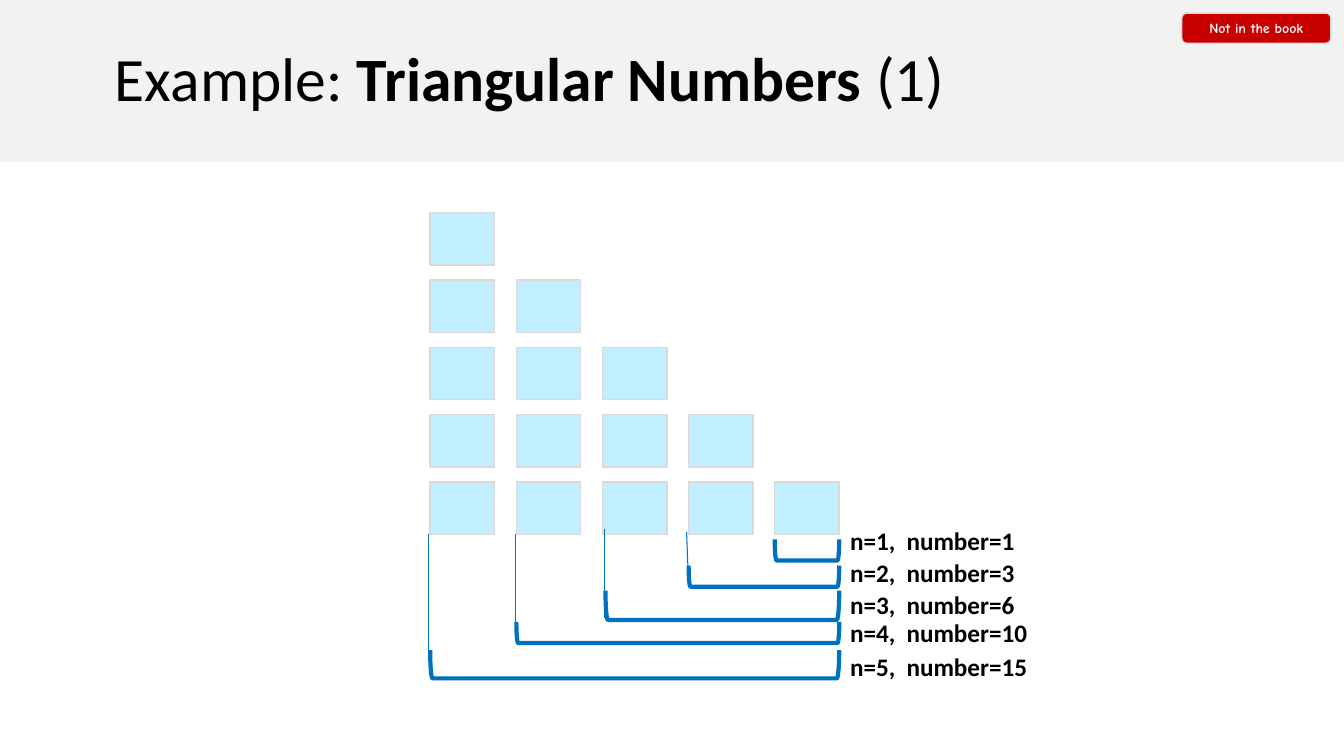
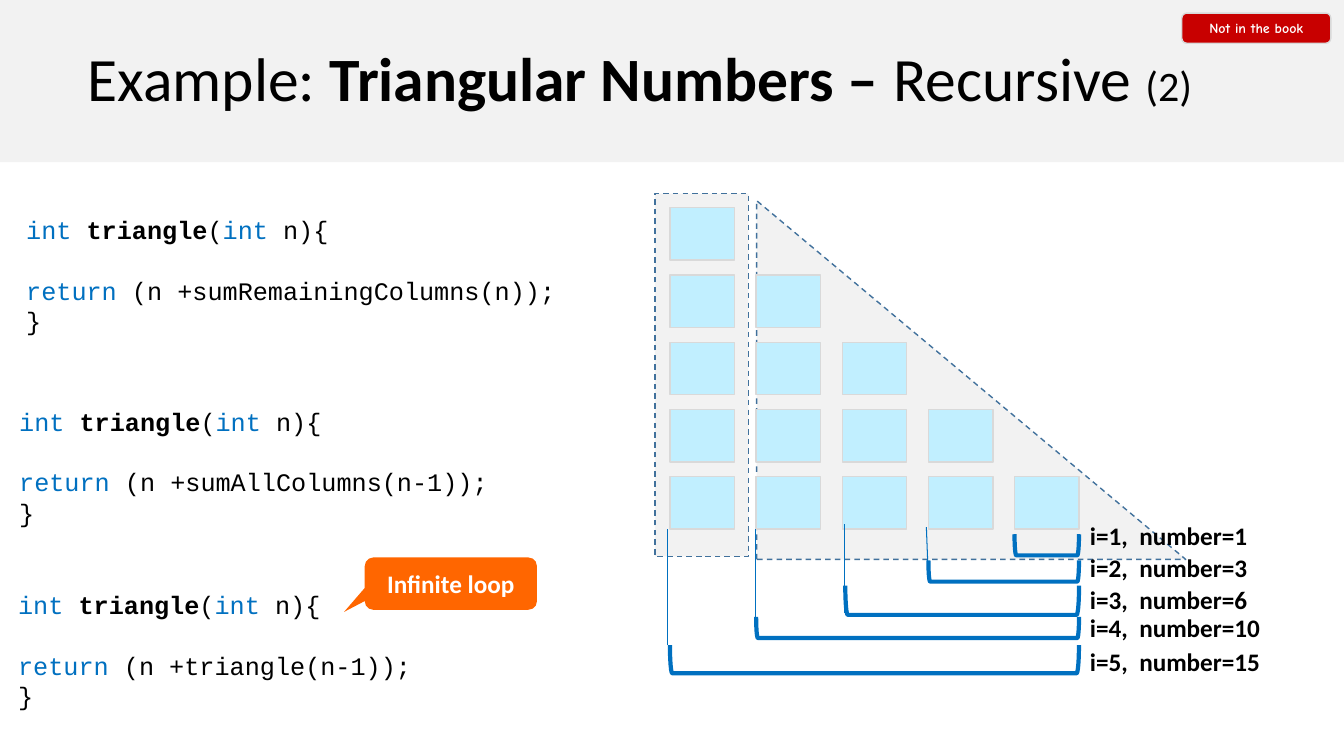
from dataclasses import dataclass
from lxml.etree import SubElement
from pptx import Presentation
from pptx.dml.color import RGBColor
from pptx.enum.dml import MSO_LINE_DASH_STYLE as Dash
from pptx.enum.shapes import MSO_CONNECTOR as Connector, MSO_SHAPE as Shape
from pptx.enum.text import MSO_ANCHOR as Anchor, MSO_AUTO_SIZE as AutoSize, PP_ALIGN as Align
from pptx.oxml.ns import qn
from pptx.util import Inches, Pt

CELL = Inches(0.1)
COLUMNS, ROWS = 133.4, 75


@dataclass(frozen=True)
class Theme:
    ink: str = "000000"
    paper: str = "FFFFFF"
    band: str = "F2F2F2"
    tile: str = "C1EFFF"
    edge: str = "D9D9D9"
    blue: str = "0070C0"
    dash: str = "41719C"
    badge: str = "C80000"
    alert: str = "FF6600"
    text_font: str = "Calibri"
    code_font: str = "Courier New"
    badge_font: str = "Comic Neue"
    title_size: float = 44
    page_size: float = 30
    body_size: float = 18
    badge_size: float = 10
    code_line: float = 21.6


def cells(*values):
    return [round(value * CELL) for value in values]


class Deck:
    def __init__(self, theme):
        self.theme = theme
        self.presentation = Presentation()
        self.presentation.slide_width, self.presentation.slide_height = cells(COLUMNS, ROWS)
        self.slide = None

    def font(self, font, size, color, name=None, bold=False):
        font.size, font.bold = Pt(size), bold
        font.name = name or self.theme.text_font
        font.color.rgb = RGBColor.from_string(color)

    def start(self, runs, indent):
        self.slide = self.presentation.slides.add_slide(self.presentation.slide_layouts[5])
        title = self.slide.shapes.title
        title.left, title.top, title.width, title.height = cells(0, 0, COLUMNS, 16.1)
        self.fill(title, self.theme.band)
        frame = title.text_frame
        frame.auto_size = AutoSize.NONE
        frame.vertical_anchor = Anchor.MIDDLE
        frame.margin_left, = cells(indent)
        paragraph = frame.paragraphs[0]
        paragraph.alignment, paragraph.line_spacing = Align.LEFT, 0.9
        self.font(paragraph.font, self.theme.title_size, self.theme.ink)
        for text, bold, size in runs:
            run = paragraph.add_run()
            run.text = text
            run.font.bold, run.font.size = bold, Pt(size)
        badge = self.box(Shape.ROUNDED_RECTANGLE, 117.3, 1.3, 14.8, 3, self.theme.badge, self.theme.edge)
        self.caption(badge, "Not in the book", self.theme.badge_size, self.theme.badge_font)

    def fill(self, shape, color):
        if color:
            shape.fill.solid()
            shape.fill.fore_color.rgb = RGBColor.from_string(color)
        else:
            shape.fill.background()

    def line(self, line, color, width, dash=None):
        line.color.rgb = RGBColor.from_string(color)
        line.width = Pt(width)
        if dash:
            line.dash_style = dash

    def box(self, kind, left, top, width, height, color=None, edge=None, weight=1, dash=None):
        shape = self.slide.shapes.add_shape(kind, *cells(left, top, width, height))
        shape.shadow.inherit = False
        self.fill(shape, color)
        if edge:
            self.line(shape.line, edge, weight, dash)
        else:
            shape.line.fill.background()
        return shape

    def caption(self, shape, text, size, name=None):
        frame = shape.text_frame
        frame.vertical_anchor = Anchor.MIDDLE
        paragraph = frame.paragraphs[0]
        paragraph.text, paragraph.alignment = text, Align.CENTER
        self.font(paragraph.font, size, self.theme.paper, name, True)

    def bracket(self, left, top, width, depth):
        middle = left + width / 2, top + depth / 2
        shape = self.box(Shape.LEFT_BRACKET, middle[0] - depth / 2, middle[1] - width / 2,
                         depth, width, edge=self.theme.blue, weight=3)
        shape.rotation = 270

    def lead(self, *ends):
        connector = self.slide.shapes.add_connector(Connector.STRAIGHT, *cells(*ends))
        self.line(connector.line, self.theme.blue, 0.75)
        SubElement(connector.element.spPr, qn("a:effectLst"))

    def label(self, left, top, term, value, tab):
        box = self.slide.shapes.add_textbox(*cells(left, top, 19.6, 4))
        box.text_frame.word_wrap = True
        paragraph = box.text_frame.paragraphs[0]
        paragraph.text = f"{term},\t{value}"
        stops = SubElement(paragraph._p.get_or_add_pPr(), qn("a:tabLst"))
        SubElement(stops, qn("a:tab"), pos=str(cells(tab)[0]), algn="l")
        self.font(paragraph.font, self.theme.body_size, self.theme.ink, bold=True)

    def stairs(self, left, top, letter, tab):
        size, width, height, tile_width, tile_height = 5, 40.6, 31.9, 6.4, 5.2
        column = (width - tile_width) / (size - 1)
        row = (height - tile_height) / (size - 1)
        for across in range(size):
            for down in range(across, size):
                self.box(Shape.RECTANGLE, left + across * column, top + down * row,
                         tile_width, tile_height, self.theme.tile, self.theme.edge)
        for number, (drop, depth, shift, label_drop, lead) in enumerate(BRACKETS, 1):
            offset = (size - number) * column
            self.bracket(left + offset + shift, top + drop, width - offset - shift, depth)
            total = number * (number + 1) // 2
            self.label(left + width + 0.1, top + label_drop,
                       f"{letter}={number}", f"number={total}", tab)
            if lead:
                start, low, end, high = lead
                self.lead(left + offset + start, top + low, left + offset + end, top + high)

    def code(self, left, top, call):
        theme = self.theme
        box = self.slide.shapes.add_textbox(*cells(left, top, 58.9, 15))
        frame = box.text_frame
        frame.word_wrap = True
        frame.margin_left = frame.margin_top = frame.margin_right = frame.margin_bottom = 0
        lines = [
            [("int ", theme.blue, False), ("triangle", theme.ink, True), ("(", theme.ink, False),
             ("int", theme.blue, False), (" n){", theme.ink, False)],
            [("return", theme.blue, False), (f" (n +{call});", theme.ink, False)],
            [("}", theme.ink, False)],
        ]
        for index, runs in enumerate(lines):
            paragraph = frame.paragraphs[0] if index == 0 else frame.add_paragraph()
            paragraph.line_spacing = Pt(theme.code_line)
            if index == 1:
                paragraph.space_before = Pt(theme.code_line)
            self.font(paragraph.font, theme.body_size, theme.ink, theme.code_font)
            for text, color, bold in runs:
                run = paragraph.add_run()
                run.text, run.font.bold = text, bold
                run.font.color.rgb = RGBColor.from_string(color)


BRACKETS = [
    (32.4, 2.1, 0, 30.5, None),
    (35, 2.1, 0, 33.7, (0, 36.9, -0.2, 31.7)),
    (37.5, 2.9, 0.3, 36.9, (0.2, 40.2, 0.2, 31.4)),
    (40.6, 2.1, 0, 39.7, (-0.1, 40.6, -0.1, 31.9)),
    (43.4, 2.8, 0, 43, (-0.2, 43.4, -0.2, 31.9)),
]


def main():
    theme = Theme()
    deck = Deck(theme)
    large = theme.title_size

    deck.start([("Example: ", False, large), ("Triangular Numbers ", True, large),
                ("(1)", False, large)], 11.4)
    deck.stairs(42.7, 21.1, "n", 5.6)

    deck.start([("Example: ", False, large), ("Triangular Numbers – ", True, large),
                ("Recursive ", False, large), ("(2)", False, theme.page_size)], 8.7)
    for kind, *place in [(Shape.RIGHT_TRIANGLE, 75.1, 19.9, 42.6, 35.6),
                         (Shape.RECTANGLE, 65, 19.2, 9.3, 36)]:
        deck.box(kind, *place, theme.band, theme.dash, dash=Dash.DASH)
    deck.stairs(66.5, 20.6, "i", 4.9)
    for left, top, call in [(2.6, 21.3, "sumRemainingColumns(n)"),
                            (1.9, 40.3, "sumAllColumns(n-1)"),
                            (1.8, 58.5, "triangle(n-1)")]:
        deck.code(left, top, call)
    callout = deck.box(Shape.ROUNDED_RECTANGULAR_CALLOUT, 36.2, 55.3, 17.1, 5.2, theme.alert)
    callout.adjustments[0], callout.adjustments[1] = -0.62, 0.54
    deck.caption(callout, "Infinite loop", theme.body_size)

    deck.presentation.save("out.pptx")


if __name__ == "__main__":
    main()
